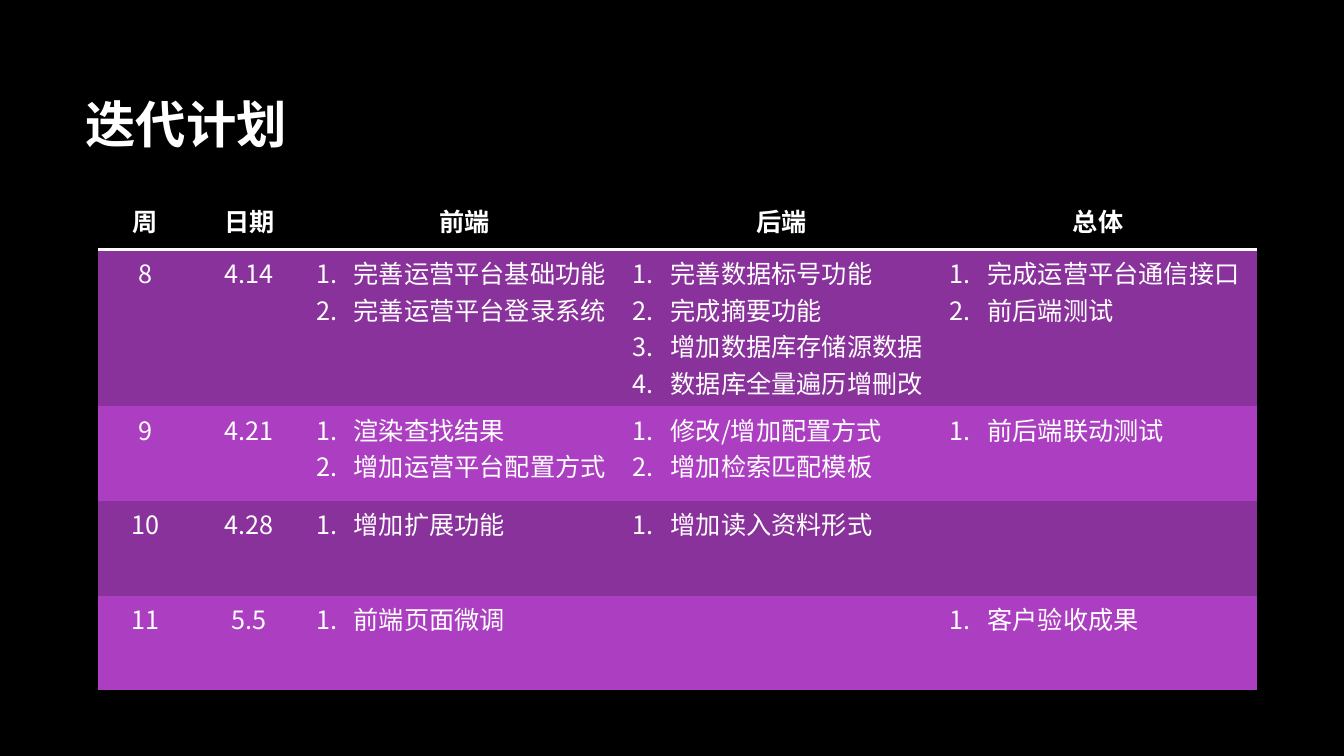
from lxml.etree import SubElement
from pptx import Presentation
from pptx.dml.color import RGBColor
from pptx.enum.text import MSO_ANCHOR as ANCHOR, PP_ALIGN as ALIGN
from pptx.oxml import parse_xml
from pptx.oxml.ns import nsdecls, qn
from pptx.util import Cm, Pt

FONT = "Noto Sans CJK JP"
WHITE, BLACK = "FFFFFF", "000000"
BANDS = ["8A329B", "AC3EC1"]
NO_GRID_STYLE = "{2D5ABB26-0587-4C30-8999-92F81FD0307C}"
COL_WIDTHS = [2.39, 2.85, 7.98, 7.98, 7.98]
ROW_HEIGHTS = [1.49, 3.94, 2.39, 2.39, 2.39]

HEADERS = ["周", "日期", "前端", "后端", "总体"]
PLAN = [
    ("8", "4.14",
     ["完善运营平台基础功能", "完善运营平台登录系统"],
     ["完善数据标号功能", "完成摘要功能", "增加数据库存储源数据", "数据库全量遍历增刪改"],
     ["完成运营平台通信接口", "前后端测试"]),
    ("9", "4.21",
     ["渲染查找结果", "增加运营平台配置方式"],
     ["修改/增加配置方式", "增加检索匹配模板"],
     ["前后端联动测试"]),
    ("10", "4.28", ["增加扩展功能"], ["增加读入资料形式"], []),
    ("11", "5.5", ["前端页面微调"], [], ["客户验收成果"]),
]


def rgb(color):
    return RGBColor.from_string(color)


def number(p):
    """Make the paragraph an item of a numbered list."""
    pPr = p._p.get_or_add_pPr()
    pPr.set("marL", str(Cm(0.95)))
    pPr.set("indent", str(-Cm(0.95)))
    SubElement(pPr, qn("a:buFont"), typeface="+mj-lt")
    SubElement(pPr, qn("a:buAutoNum"), type="arabicPeriod")


def write(tf, lines, size=18, color=WHITE, bold=False, align=ALIGN.LEFT, numbered=False):
    for i, line in enumerate(lines):
        p = tf.add_paragraph() if i else tf.paragraphs[0]
        p.alignment = align
        if numbered:
            number(p)
        r = p.add_run()
        r.text = line
        r.font.size, r.font.bold = Pt(size), bold
        r.font.color.rgb = rgb(color)
        r.font.name = FONT
        SubElement(r.font._element, qn("a:ea"), typeface=FONT)


def fill_cell(cell, color):
    cell.fill.solid()
    cell.fill.fore_color.rgb = rgb(color)


def underline_cell(cell, color, width):
    cell._tc.get_or_add_tcPr().insert(0, parse_xml(
        f'<a:lnB {nsdecls("a")} w="{Pt(width)}"><a:solidFill>'
        f'<a:srgbClr val="{color}"/></a:solidFill></a:lnB>'))


def add_title(s, text, x, y, w, h):
    tf = s.shapes.add_textbox(x, y, w, h).text_frame
    tf.word_wrap = True
    tf.vertical_anchor = ANCHOR.MIDDLE
    write(tf, [text], size=36, bold=True)


def add_plan_table(s, x, y, w, h):
    """Place the plan in the box, sharing it out in the given proportions."""
    table = s.shapes.add_table(len(PLAN) + 1, len(HEADERS), x, y, w, h).table
    table.first_row = table.horz_banding = False
    table._tbl.tblPr.find(qn("a:tableStyleId")).text = NO_GRID_STYLE
    for col, width in zip(table.columns, COL_WIDTHS):
        col.width = int(w * width / sum(COL_WIDTHS))
    for row, height in zip(table.rows, ROW_HEIGHTS):
        row.height = int(h * height / sum(ROW_HEIGHTS))

    for cell, header in zip(table.rows[0].cells, HEADERS):
        fill_cell(cell, BLACK)
        underline_cell(cell, WHITE, 2)
        cell.vertical_anchor = ANCHOR.MIDDLE
        write(cell.text_frame, [header], bold=True, align=ALIGN.CENTER)

    for i, (week, date, *tasks) in enumerate(PLAN):
        cells = list(table.rows[i + 1].cells)
        for cell in cells:
            fill_cell(cell, BANDS[i % 2])
        for cell, text in zip(cells, (week, date)):
            write(cell.text_frame, [text], align=ALIGN.CENTER)
        for cell, lines in zip(cells[2:], tasks):
            write(cell.text_frame, lines, numbered=True)


def main():
    prs = Presentation()
    prs.slide_width, prs.slide_height = Cm(33.87), Cm(19.05)
    s = prs.slides.add_slide(prs.slide_layouts[6])
    s.background.fill.solid()
    s.background.fill.fore_color.rgb = rgb(BLACK)
    add_title(s, "迭代计划", Cm(1.9), Cm(1.7), Cm(28.15), Cm(2.8))
    add_plan_table(s, Cm(2.47), Cm(4.8), Cm(29.2), Cm(12.6))
    prs.save("out.pptx")


if __name__ == "__main__":
    main()
